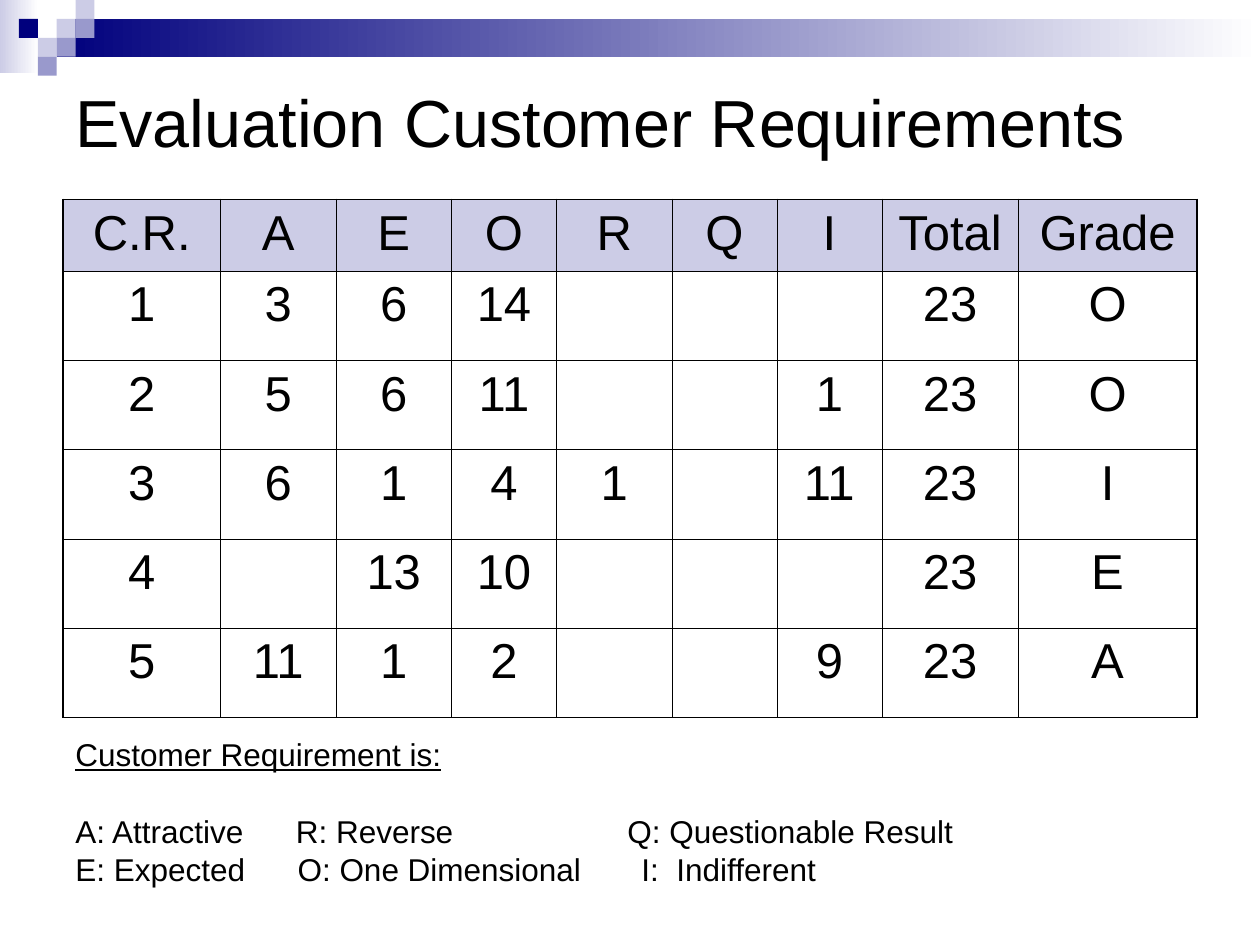
from dataclasses import dataclass
from typing import Any

from lxml.etree import SubElement
from pptx import Presentation
from pptx.dml.color import RGBColor as Rgb
from pptx.enum.shapes import MSO_SHAPE as Shape
from pptx.enum.text import MSO_ANCHOR as Anchor, PP_ALIGN as Align
from pptx.oxml.ns import qn
from pptx.util import Pt


@dataclass(frozen=True)
class Theme:
    font: str = "Arial"
    ink: str = "000000"
    paper: str = "FFFFFF"
    navy: str = "00007D"
    violet: str = "9999CC"
    lilac: str = "CCCCE6"
    title_size: float = 38
    table_size: float = 28
    legend_size: float = 18
    inner_line: float = 0.45
    outer_line: float = 1.08


@dataclass(frozen=True)
class Bar:
    left: float
    top: float
    width: float
    height: float
    colors: tuple[str, ...]


@dataclass(frozen=True)
class LegendLine:
    text: str
    stops: tuple[float, ...] = ()
    before: float = 11.2
    underline: bool = False


THEME = Theme()
TILE = 10.8
TILES = [
    (3, 1, THEME.lilac), (4, 0, THEME.lilac), (4, 1, THEME.violet),
    (2, 2, THEME.lilac), (1, 1, THEME.navy), (3, 2, THEME.violet),
    (2, 3, THEME.violet),
]
BARS = [
    Bar(0, 0, 22, 42, (THEME.lilac, THEME.paper)),
    Bar(3 * TILE, TILE, 720 - 3 * TILE, 2 * TILE, (THEME.navy, THEME.paper)),
    *(Bar(column * TILE, row * TILE, TILE, TILE, (color,)) for column, row, color in TILES),
]
COLUMN_WIDTHS = [90, 66, 66, 60, 66, 60, 60, 78, 102]
HEADER_HEIGHT, ROW_HEIGHT = 41, 51
SCORES = [
    ["C.R.", "A", "E", "O", "R", "Q", "I", "Total", "Grade"],
    ["1", "3", "6", "14", "", "", "", "23", "O"],
    ["2", "5", "6", "11", "", "", "1", "23", "O"],
    ["3", "6", "1", "4", "1", "", "11", "23", "I"],
    ["4", "", "13", "10", "", "", "", "23", "E"],
    ["5", "11", "1", "2", "", "", "9", "23", "A"],
]
LEGEND = [
    LegendLine("Customer Requirement is:", before=0, underline=True),
    LegendLine("A: Attractive\tR: Reverse\tQ: Questionable Result", (126, 315.5), 32.8),
    LegendLine("E: Expected\tO: One Dimensional\tI:\tIndifferent", (127, 323.5, 343.5)),
]


def apply_format(target: Any, values: dict[str, Any]) -> None:
    for name, value in values.items():
        setattr(target, name, value)


def write(para: Any, text: str, size: float, **extra: Any) -> None:
    span = para.add_run()
    span.text = text
    apply_format(span.font, {"name": THEME.font, "size": Pt(size), **extra})
    span.font.color.rgb = Rgb.from_string(THEME.ink)


def draw_bar(page: Any, bar: Bar) -> None:
    sides = map(Pt, (bar.left, bar.top, bar.width, bar.height))
    shape = page.shapes.add_shape(Shape.RECTANGLE, *sides)
    shape.shadow.inherit = False
    shape.line.fill.background()
    if len(bar.colors) == 1:
        shape.fill.solid()
        shape.fill.fore_color.rgb = Rgb.from_string(bar.colors[0])
        return
    shape.fill.gradient()
    shape.fill.gradient_angle = 0
    for position, (stop, color) in enumerate(zip(shape.fill.gradient_stops, bar.colors)):
        stop.position = position
        stop.color.rgb = Rgb.from_string(color)


def add_box(page: Any, left: float, top: float, width: float, height: float, anchor: Any) -> Any:
    frame = page.shapes.add_textbox(*map(Pt, (left, top, width, height))).text_frame
    apply_format(frame, {"word_wrap": True, "vertical_anchor": anchor})
    return frame


def draw_title(page: Any) -> None:
    frame = add_box(page, 36, 36, 648, 66, Anchor.MIDDLE)
    write(frame.paragraphs[0], "Evaluation Customer Requirements", THEME.title_size)


def set_borders(cell: Any, outer: dict[str, bool]) -> None:
    properties = cell._tc.get_or_add_tcPr()
    for side, is_outer in outer.items():
        width = THEME.outer_line if is_outer else THEME.inner_line
        line = SubElement(properties, qn(f"a:ln{side}"), w=str(int(Pt(width))))
        fill = SubElement(line, qn("a:solidFill"))
        SubElement(fill, qn("a:srgbClr"), val=THEME.ink)


def draw_table(page: Any) -> None:
    last_row, last_column = len(SCORES) - 1, len(COLUMN_WIDTHS) - 1
    heights = [HEADER_HEIGHT] + [ROW_HEIGHT] * last_row
    sides = map(Pt, (36, 114, sum(COLUMN_WIDTHS), sum(heights)))
    table = page.shapes.add_table(len(SCORES), len(COLUMN_WIDTHS), *sides).table
    for column, width in zip(table.columns, COLUMN_WIDTHS):
        column.width = Pt(width)
    for row, height in zip(table.rows, heights):
        row.height = Pt(height)
    for row, values in enumerate(SCORES):
        for column, value in enumerate(values):
            cell = table.cell(row, column)
            set_borders(cell, {"L": column == 0, "R": column == last_column,
                               "T": row == 0, "B": row == last_row})
            if row == 0:
                cell.fill.solid()
                cell.fill.fore_color.rgb = Rgb.from_string(THEME.lilac)
            else:
                cell.fill.background()
            if value:
                para = cell.text_frame.paragraphs[0]
                para.alignment = Align.CENTER
                write(para, value, THEME.table_size)


def draw_legend(page: Any) -> None:
    frame = add_box(page, 36, 426, 654, 84, Anchor.TOP)
    for index, line in enumerate(LEGEND):
        para = frame.add_paragraph() if index else frame.paragraphs[0]
        apply_format(para, {"line_spacing": 0.5, "space_before": Pt(line.before)})
        if line.stops:
            tabs = SubElement(para._p.get_or_add_pPr(), qn("a:tabLst"))
            for stop in line.stops:
                SubElement(tabs, qn("a:tab"), pos=str(int(Pt(stop))), algn="l")
        write(para, line.text, THEME.legend_size, underline=line.underline)


def main() -> None:
    deck = Presentation()
    apply_format(deck, {"slide_width": Pt(720), "slide_height": Pt(540)})
    page = deck.slides.add_slide(deck.slide_layouts[6])
    for bar in BARS:
        draw_bar(page, bar)
    draw_title(page)
    draw_table(page)
    draw_legend(page)
    deck.save("out.pptx")


if __name__ == "__main__":
    main()
